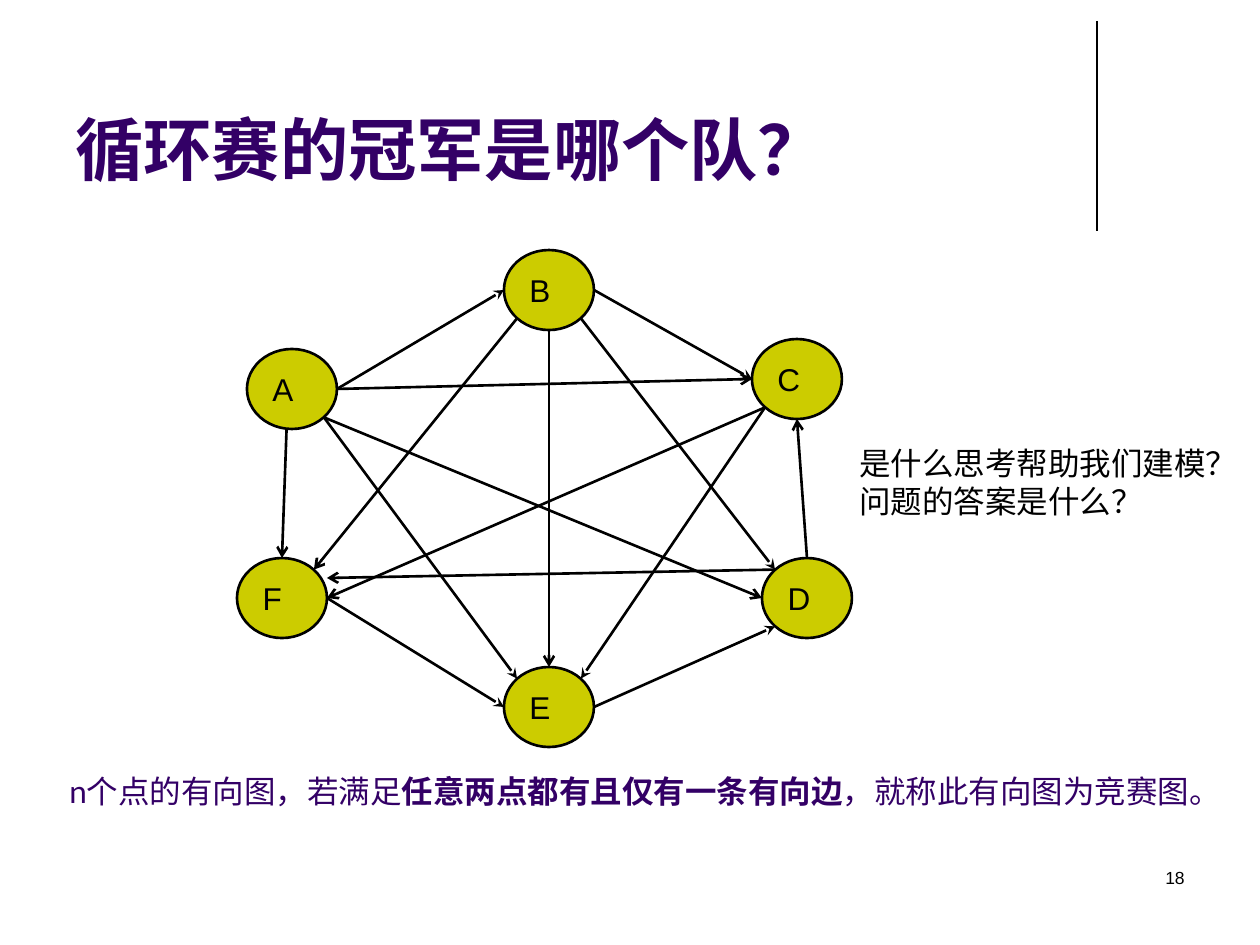
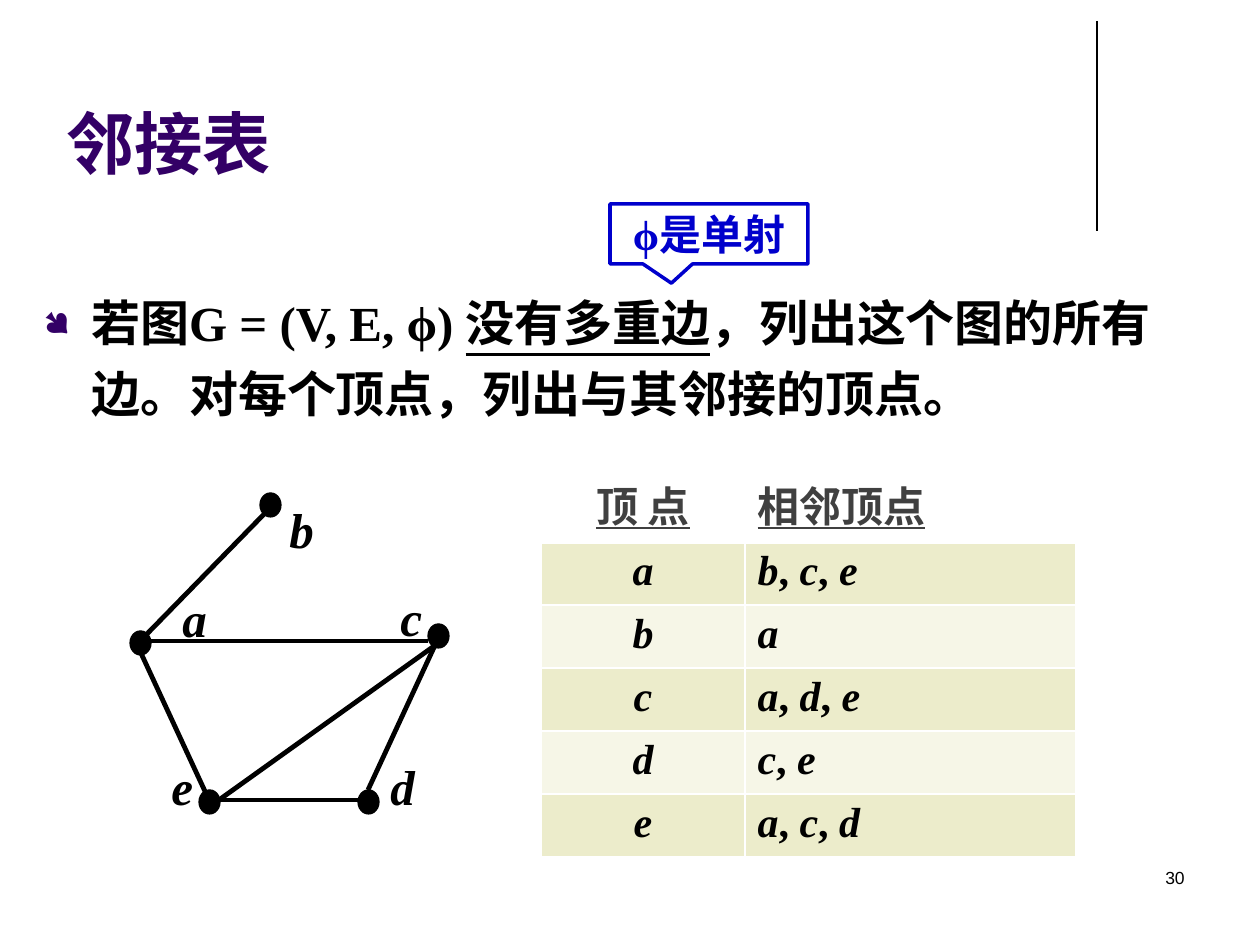
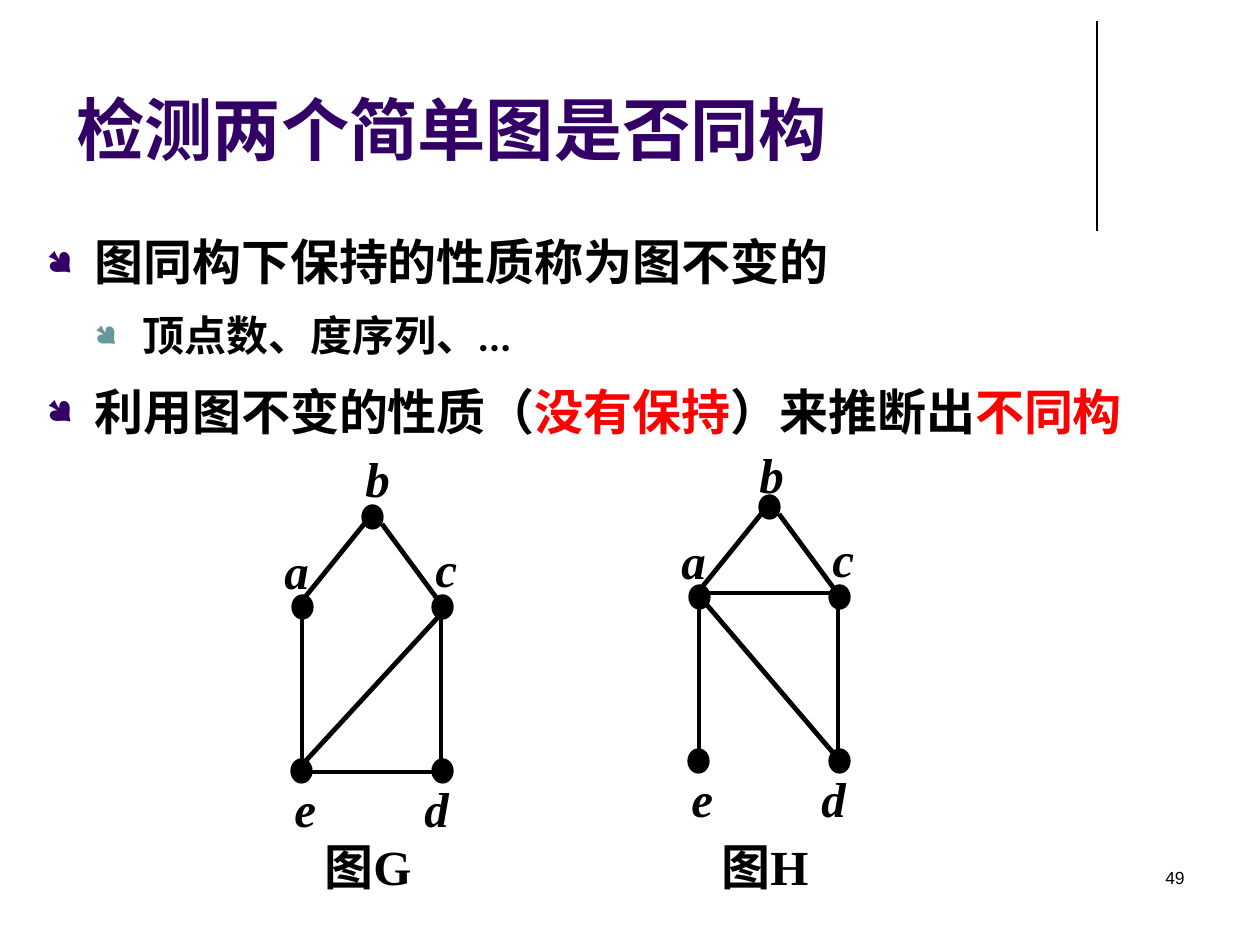
from lxml import etree
from pptx import Presentation
from pptx import util as u
from pptx.dml.color import RGBColor
from pptx.enum import shapes, text
from pptx.oxml.ns import qn

PX_PER_INCH = 126
SERIF, SANS, LATO, CJK = "Times New Roman", "Arial", "Lato", "Noto Sans CJK SC"
COLORS = {
    "title": "330066", "ink": "000000", "team": "CCCC00", "callout": "0000CC",
    "sub_bullet": "669999", "alert": "FF0000", "header": "404040",
    "band_dark": "ECECCB", "band_light": "F6F6E7", "border": "FFFFFF",
}
ALIGN = text.PP_ALIGN

# Label and edge coordinates are relative to the box of each graph.
NODE_W, NODE_H = 21, 24
LABEL_W, LABEL_H = 49, 72
HOUSE_NODES = {"a": (20, 153), "b": (90, 63), "c": (160, 153), "d": (160, 317), "e": (19, 317)}
HOUSE_LABELS = {"a": (0, 92), "b": (81, 0), "c": (151, 90), "d": (140, 330), "e": (10, 330)}
HOUSE_EDGES = [(34, 154, 93, 81), (110, 82, 169, 162), (30, 172, 30, 320), (169, 172, 169, 320)]

# Points on an ellipse, in half-widths and half-heights from its centre.
DIAG = 0.71
SITES = {
    "n": (0, -1), "s": (0, 1), "w": (-1, 0), "e": (1, 0),
    "nw": (-DIAG, -DIAG), "ne": (DIAG, -DIAG), "sw": (-DIAG, DIAG), "se": (DIAG, DIAG),
    "s_left": (-0.12, 1), "e_high": (1, -0.5),
}
TEAM_W, TEAM_H = 90, 80
TEAMS = {"A": (10, 99), "B": (267, 0), "C": (515, 89), "D": (525, 308), "E": (267, 417), "F": (0, 308)}
MATCHES = [
    ("A", "e", "B", "w", "stealth"), ("B", "e", "C", "w", "stealth"),
    ("F", "e", "E", "w", "stealth"), ("E", "e", "D", "sw", "stealth"),
    ("A", "se", "E", "nw", "stealth"), ("B", "se", "D", "nw", "stealth"),
    ("C", "sw", "E", "ne", "stealth"), ("B", "s", "E", "n", "arrow"),
    ("A", "se", "D", "w", "arrow"), ("B", "sw", "F", "ne", "arrow"),
    ("A", "s_left", "F", "n", "arrow"), ("C", "sw", "F", "e", "arrow"),
    ("D", "n", "C", "s", "arrow"), ("A", "e", "C", "w", "arrow"),
    ("D", "nw", "F", "e_high", "arrow"),
]


def px(n):
    return u.Emu(round(n * 914400 / PX_PER_INCH))


def rgb(name):
    return RGBColor.from_string(COLORS[name])


def style(r, size, color="ink", font=SANS, bold=False, italic=False, underline=False, ea=LATO):
    f = r.font
    f.name, f.size, f.bold, f.italic, f.underline = font, u.Pt(size), bold, italic, underline
    f.color.rgb = rgb(color)
    etree.SubElement(r._r.get_or_add_rPr(), qn("a:ea"), typeface=ea)


def add_runs(p, runs, **base):
    """Append (text, style overrides) pairs to a paragraph."""
    for words, changes in runs:
        r = p.add_run()
        r.text = words
        style(r, **{**base, **changes})


def add_text(parent, box, words, align=ALIGN.LEFT, anchor=text.MSO_ANCHOR.TOP, wrap=True, **fmt):
    sp = parent.add_textbox(*map(px, box))
    fill_text(sp.text_frame, words, align, anchor, wrap, **fmt)
    return sp


def fill_text(tf, words, align, anchor, wrap, **fmt):
    tf.word_wrap, tf.vertical_anchor = wrap, anchor
    tf.text = words
    for p in tf.paragraphs:
        p.alignment = align
        for r in p.runs:
            style(r, **fmt)


def add_line(parent, ends, width, head=None):
    sp = parent.add_connector(shapes.MSO_CONNECTOR.STRAIGHT, *map(px, ends))
    sp.line.color.rgb = rgb("ink")
    sp.line.width = u.Pt(width)
    if head:
        etree.SubElement(sp.line._get_or_add_ln(), qn("a:tailEnd"), type=head)
    etree.SubElement(sp._element.spPr, qn("a:effectLst"))


def add_shape(parent, kind, box, fill, line, width):
    sp = parent.add_shape(kind, *map(px, box))
    sp.shadow.inherit = False
    if fill:
        sp.fill.solid()
        sp.fill.fore_color.rgb = rgb(fill)
    else:
        sp.fill.background()
    sp.line.color.rgb = rgb(line)
    sp.line.width = u.Pt(width)
    return sp


def new_slide(prs, title, title_box, number):
    """Add a slide with the shared title, corner rule and page number."""
    s = prs.slides.add_slide(prs.slide_layouts[6])
    add_line(s.shapes, (1097, 21, 1097, 231), 0.75)
    add_text(s.shapes, title_box, title, anchor=text.MSO_ANCHOR.BOTTOM,
             size=39, color="title", bold=True)
    add_text(s.shapes, (903, 861, 294, 63), str(number), ALIGN.RIGHT, size=10)
    return s


def add_bullets(s, box, items, align, font):
    """Fill a box with (level, runs) bullet items."""
    tf = s.shapes.add_textbox(*map(px, box)).text_frame
    tf.word_wrap = True
    for i, (level, runs) in enumerate(items):
        p = tf.add_paragraph() if i else tf.paragraphs[0]
        size = (28, 24)[level]
        p.alignment, p.line_spacing, p.level = align, 1.2, level
        if i:
            p.space_before = u.Pt(0.2 * size)
        pPr = p._p.get_or_add_pPr()
        pPr.set("marL", str(px(48 * (level + 1))))
        pPr.set("indent", str(-px(48)))
        color = etree.SubElement(pPr, qn("a:buClr"))
        etree.SubElement(color, qn("a:srgbClr"), val=COLORS[("title", "sub_bullet")[level]])
        etree.SubElement(pPr, qn("a:buSzPct"), val="70000")
        etree.SubElement(pPr, qn("a:buFont"), typeface="Wingdings")
        etree.SubElement(pPr, qn("a:buChar"), char="●")
        add_runs(p, runs, size=size, font=font, bold=True)


def add_graph(s, left, top, nodes, labels, edges):
    group = s.shapes.add_group_shape().shapes
    for x1, y1, x2, y2 in edges:
        add_line(group, (left + x1, top + y1, left + x2, top + y2), 2.75)
    for x, y in nodes.values():
        add_shape(group, shapes.MSO_SHAPE.OVAL, (left + x, top + y, NODE_W, NODE_H),
                  "ink", "ink", 0.75)
    for name, (x, y) in labels.items():
        add_text(group, (left + x, top + y, LABEL_W, LABEL_H), name,
                 size=28, font=SERIF, bold=True, italic=True)


def add_tournament(s, left, top):
    def site(team, name):
        (x, y), (dx, dy) = TEAMS[team], SITES[name]
        return left + x + TEAM_W / 2 * (1 + dx), top + y + TEAM_H / 2 * (1 + dy)

    for team, (x, y) in TEAMS.items():
        sp = add_shape(s.shapes, shapes.MSO_SHAPE.OVAL, (left + x, top + y, TEAM_W, TEAM_H),
                       "team", "ink", 1.5)
        fill_text(sp.text_frame, team, ALIGN.LEFT, text.MSO_ANCHOR.MIDDLE, False, size=18)
    for winner, start, loser, end, head in MATCHES:
        add_line(s.shapes, site(winner, start) + site(loser, end), 1.5, head)


def set_borders(cell, widths):
    """Draw white borders; widths are points for left, right, top, bottom."""
    tcPr = cell._tc.get_or_add_tcPr()
    for i, (side, width) in enumerate(zip("LRTB", widths)):
        ln = etree.Element(qn(f"a:ln{side}"), w=str(u.Pt(width)))
        fill = etree.SubElement(ln, qn("a:solidFill"))
        etree.SubElement(fill, qn("a:srgbClr"), val=COLORS["border"])
        tcPr.insert(i, ln)


def add_adjacency_table(s, left, top, header, neighbours):
    widths, head_h, row_h = (204, 331), 75, 59
    rows = [header, *neighbours.items()]
    height = head_h + row_h * len(neighbours)
    table = s.shapes.add_table(len(rows), 2, *map(px, (left, top, sum(widths), height))).table
    table.first_row = table.horz_banding = False
    for column, width in zip(table.columns, widths):
        column.width = px(width)
    for i, row in enumerate(rows):
        table.rows[i].height = px(row_h if i else head_h)
        for j, words in enumerate(row):
            cell = table.cell(i, j)
            cell.margin_left = cell.margin_right = u.Inches(0.1)
            cell.margin_top = cell.margin_bottom = u.Inches(0.05)
            p = cell.text_frame.paragraphs[0]
            p.alignment = ALIGN.LEFT if j else ALIGN.CENTER
            if i:
                cell.fill.solid()
                cell.fill.fore_color.rgb = rgb("band_dark" if i % 2 else "band_light")
                runs = [(", ", {})] * (2 * len(words.split(", ")) - 1)
                runs[::2] = [(name, {"italic": True}) for name in words.split(", ")]
                add_runs(p, runs, size=24, font=SERIF, bold=True)
            else:
                cell.fill.background()
                add_runs(p, [(words, {})], size=24, color="header", bold=True,
                         underline=True, ea=CJK)
            set_borders(cell, (1, 1, 3 if i == 1 else 1, 1 if i else 3))


def tournament_slide(prs):
    s = new_slide(prs, "循环赛的冠军是哪个队？", (63, 16, 1040, 179), 18)
    add_tournament(s, 237, 250)
    add_text(s.shapes, (847, 438, 407, 89), "是什么思考帮助我们建模？\n问题的答案是什么？",
             wrap=False, size=18)
    sp = s.shapes.add_textbox(*map(px, (57, 766, 1197, 50)))
    sp.text_frame.word_wrap = True
    add_runs(sp.text_frame.paragraphs[0], [
        ("n个点的有向图，若满足", {}),
        ("任意两点都有且仅有一条有向边", {"bold": True}),
        ("，就称此有向图为竞赛图。", {}),
    ], size=18, color="title", font=LATO)


def adjacency_slide(prs):
    s = new_slide(prs, "邻接表", (54, 76, 1176, 113), 30)
    add_bullets(s, (31, 275, 1174, 179), [(0, [
        ("若图G = (V, E, ϕ) ", {}),
        ("没有多重边", {"underline": True}),
        ("，列出这个图的所有边。对每个顶点，列出与其邻接的顶点。", {}),
    ])], ALIGN.LEFT, SERIF)
    sp = add_shape(s.shapes, shapes.MSO_SHAPE.RECTANGULAR_CALLOUT, (610, 204, 198, 60),
                   None, "callout", 2)
    sp.adjustments[0], sp.adjustments[1] = -0.19, 0.82
    fill_text(sp.text_frame, "ϕ是单射", ALIGN.CENTER, text.MSO_ANCHOR.MIDDLE, False,
              size=24, color="callout", font=SERIF, bold=True)
    add_adjacency_table(s, 541, 467, ("顶 点", "相邻顶点"), {
        "a": "b, c, e", "b": "a", "c": "a, d, e", "d": "c, e", "e": "a, c, d"})
    add_graph(
        s, 130, 492,
        {"a": (0, 139), "b": (130, 1), "c": (298, 132), "d": (228, 298), "e": (69, 298)},
        {"a": (40, 90), "b": (147, 1), "c": (258, 89), "d": (248, 258), "e": (29, 258)},
        [(16, 143, 145, 11), (307, 152, 89, 308), (307, 149, 238, 298),
         (298, 149, 10, 149), (10, 159, 79, 308), (238, 308, 79, 308)])


def isomorphism_slide(prs):
    s = new_slide(prs, "检测两个简单图是否同构", (64, 45, 1040, 130), 49)
    add_bullets(s, (34, 214, 1191, 248), [
        (0, [("图同构下保持的性质称为图不变的", {})]),
        (1, [("顶点数、度序列、…", {})]),
        (0, [("利用图不变的性质（", {}), ("没有保持", {"color": "alert"}),
             ("）来推断出", {}), ("不同构", {"color": "alert"})]),
    ], ALIGN.JUSTIFY, SANS)
    add_graph(s, 272, 442, HOUSE_NODES, HOUSE_LABELS,
              HOUSE_EDGES + [(169, 172, 30, 323), (169, 330, 30, 330)])
    add_graph(s, 669, 432, HOUSE_NODES, {**HOUSE_LABELS, "b": (78, 6)},
              HOUSE_EDGES + [(179, 161, 40, 161), (38, 173, 166, 323)])
    for caption, left in (("图G", 312), ("图H", 709)):
        add_text(s.shapes, (left, 830, 139, 72), caption, size=28, font=SERIF, bold=True)


def main():
    prs = Presentation()
    prs.slide_width, prs.slide_height = px(1260), px(945)
    tournament_slide(prs)
    adjacency_slide(prs)
    isomorphism_slide(prs)
    prs.save("out.pptx")


if __name__ == "__main__":
    main()
